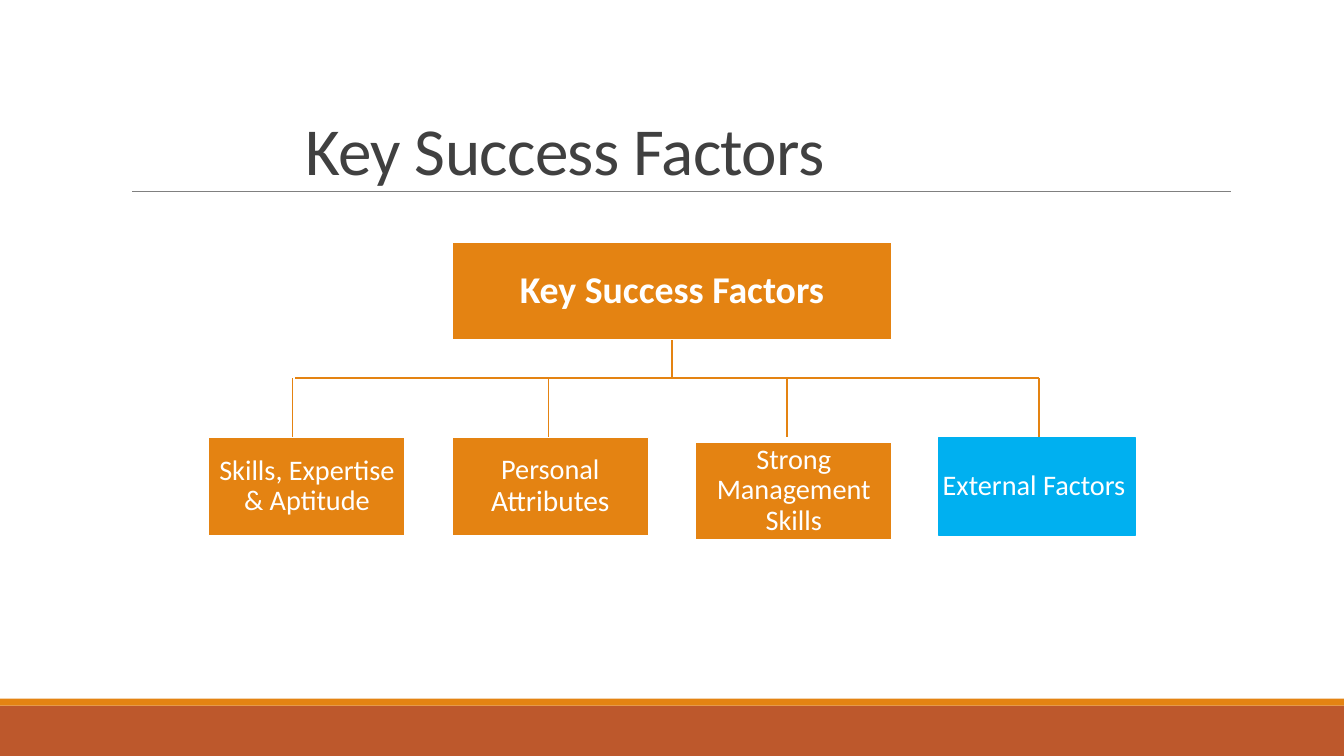
import pptx
import pptx.util
import pptx.dml.color
import pptx.enum.shapes
import pptx.enum.text
import pptx.oxml

Pt = pptx.util.Pt
Align = pptx.enum.text.PP_ALIGN
Anchor = pptx.enum.text.MSO_ANCHOR

COLORS = {"orange": "E48312", "rust": "BD582C", "blue": "00B0F0",
          "white": "FFFFFF", "rule": "808080", "title": "404040"}
FONT = "Calibri"
WIDE, HIGH = 960, 540


def color(name):
    return pptx.dml.color.RGBColor.from_string(COLORS[name])


def add_rect(slide, box, fill, edge=None):
    rect = slide.shapes.add_shape(pptx.enum.shapes.MSO_SHAPE.RECTANGLE,
                                  *map(Pt, box))
    rect.shadow.inherit = False
    rect.fill.solid()
    rect.fill.fore_color.rgb = color(fill)
    if edge:
        rect.line.color.rgb = color(edge)
        rect.line.width = Pt(1.25)
    else:
        rect.line.fill.background()
    return rect


def add_line(slide, ends, tint, width):
    line = slide.shapes.add_connector(
        pptx.enum.shapes.MSO_CONNECTOR.STRAIGHT, *map(Pt, ends))
    line.line.color.rgb = color(tint)
    line.line.width = Pt(width)
    line._element.spPr.append(pptx.oxml.parse_xml(
        '<a:effectLst xmlns:a='
        '"http://schemas.openxmlformats.org/drawingml/2006/main"/>'))


def add_node(slide, box, runs, fill="orange", edge="white", bold=False):
    """Add a chart box; runs is a list of (text, size) pairs."""
    frame = add_rect(slide, box, fill, edge).text_frame
    frame.word_wrap = True
    frame.vertical_anchor = Anchor.MIDDLE
    frame.margin_left = frame.margin_right = Pt(0.72)
    frame.margin_top = frame.margin_bottom = Pt(0.72)
    para = frame.paragraphs[0]
    para.alignment = Align.CENTER
    para.line_spacing = 0.9
    para.font.name = FONT
    para.font.bold = bold
    para.font.color.rgb = color("white")
    for text, size in runs:
        run = para.add_run()
        run.text = text
        run.font.size = Pt(size)


def add_footer(slide, box):
    left, top, width, height = box
    band = 5
    add_rect(slide, (left, top + band, width, height - band), "rust")
    add_rect(slide, (left, top, width, band), "orange")


def add_title(slide, box, text):
    left, top, width, height = box
    add_line(slide, (94.5, 136.8, 879, 136.8), "rule", 0.5)
    title = slide.shapes.title
    title.left, title.top = Pt(left), Pt(top)
    title.width, title.height = Pt(width), Pt(height)
    frame = title.text_frame
    frame.text = text
    frame.word_wrap = True
    frame.auto_size = pptx.enum.text.MSO_AUTO_SIZE.NONE
    frame.vertical_anchor = Anchor.BOTTOM
    para = frame.paragraphs[0]
    para.alignment = Align.LEFT
    para.line_spacing = 0.85
    para.font.name = FONT
    para.font.size = Pt(48)
    para.font.color.rgb = color("title")
    para.runs[0].font._element.set("spc", "-50")


def add_tree(slide, box):
    left, top, width, height = box
    wide, tall, size = 140.4, 70, 20.2
    step = (width - wide) / 3
    row = top + height - tall
    bar = top + 97

    # Factors: runs, fill, edge, vertical shift, centre of the drop line
    factors = [
        ([("Skills, Expertise & Aptitude", size)], "orange", "white", 0, 59.8),
        ([("Personal ", size), ("Attributes", 21)], "orange", "white", 0, 242.7),
        ([("Strong Management Skills", size)], "orange", "white", 3, 413.3),
        ([("External Factors ", size)], "blue", "blue", 0, 593.3),
    ]
    for i, (runs, fill, edge, shift, drop) in enumerate(factors):
        add_node(slide, (left + i * step, row + shift, wide, tall),
                 runs, fill, edge)
        add_line(slide, (left + drop, bar, left + drop, row), "orange", 1)

    # Root, stem and crossbar
    add_node(slide, (left + step, top, step + wide, tall),
             [("Key Success Factors", 27)], bold=True)
    stem = left + width / 2
    add_line(slide, (stem, top + tall, stem, bar), "orange", 1)
    add_line(slide, (left + 62, bar, left + 593, bar), "orange", 1)


def main():
    deck = pptx.Presentation()
    deck.slide_width, deck.slide_height = Pt(WIDE), Pt(HIGH)
    slide = deck.slides.add_slide(deck.slide_layouts[5])
    add_footer(slide, (0, 499, WIDE, HIGH - 499))
    add_title(slide, (211, 49, 613.5, 90), "Key Success Factors")
    add_tree(slide, (149, 173, 662, 209.5))
    deck.save("out.pptx")


if __name__ == "__main__":
    main()
